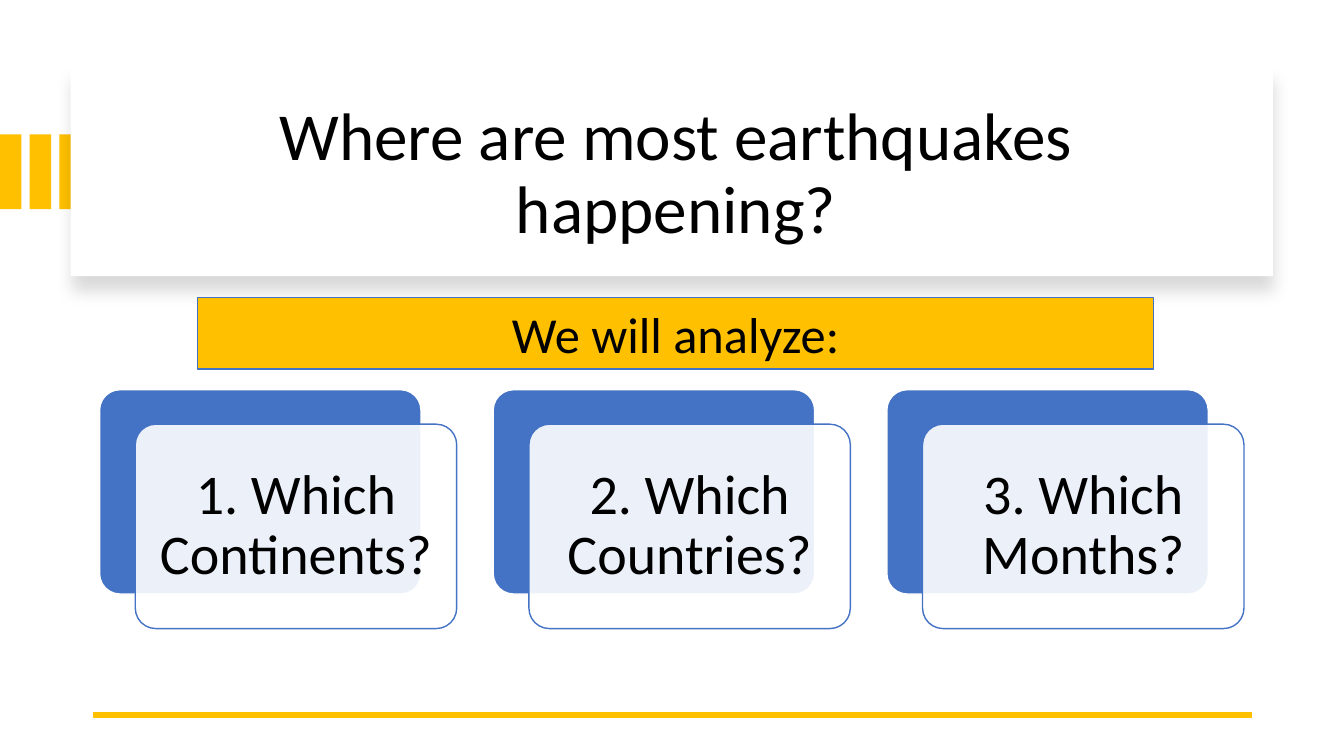
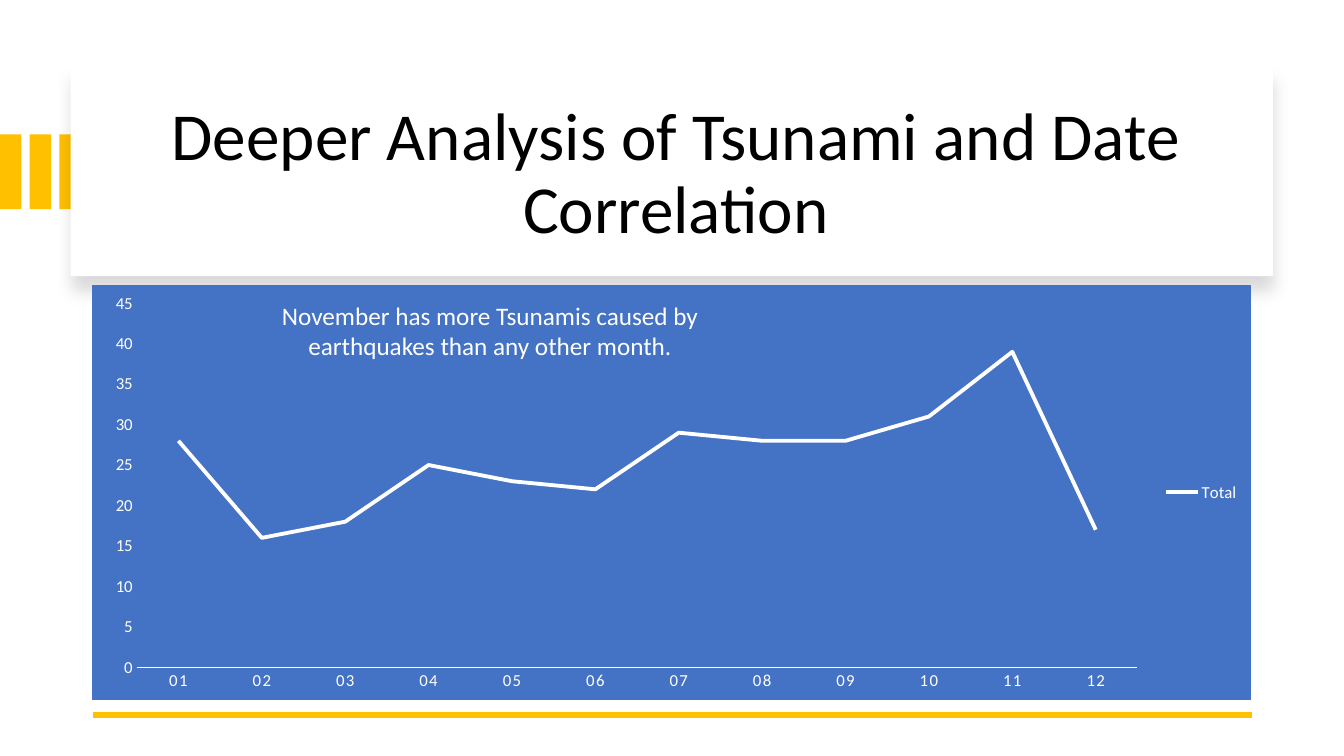
from lxml import etree
from pptx import Presentation
from pptx.chart.data import CategoryChartData
from pptx.dml.color import RGBColor
from pptx.enum.chart import XL_CHART_TYPE, XL_LEGEND_POSITION, XL_TICK_MARK
from pptx.enum.shapes import MSO_CONNECTOR, MSO_SHAPE
from pptx.enum.text import MSO_ANCHOR, MSO_AUTO_SIZE, PP_ALIGN
from pptx.oxml import parse_xml
from pptx.oxml.ns import nsdecls, qn
from pptx.util import Cm, Pt

COLORS = {"gold": "FFC000", "blue": "4472C4", "white": "FFFFFF", "black": "000000"}
FONT = "Calibri"


def rgb(name):
    return RGBColor.from_string(COLORS[name])


class Deck:
    """Holds the presentation, its style and the current slide."""

    def __init__(self):
        self.prs = Presentation()
        self.prs.slide_width, self.prs.slide_height = Cm(33.87), Cm(19.05)
        self.s = None

    def slide(self, title):
        self.s = self.prs.slides.add_slide(self.prs.slide_layouts[5])
        # Gold bars running under the title panel
        for i in range(3):
            self.box(0.75 * i, 3.39, 0.54, 1.88, "gold")
        panel = self.box(1.78, 1.7, 30.3, 5.26, "white")
        self.drop_shadow(panel)
        # The title goes in front of its panel
        sp = self.s.shapes.title
        panel.element.addnext(sp.element)
        sp.left, sp.top, sp.width, sp.height = Cm(2.9), Cm(2.26), Cm(28.27), Cm(4.32)
        self.set_text(sp, title, 48, spacing=0.9)
        # Footer rule
        self.rule(2.34, 31.55, 18.01)

    def box(self, x, y, w, h, fill, line=None, weight=1, kind=MSO_SHAPE.RECTANGLE):
        sp = self.s.shapes.add_shape(kind, Cm(x), Cm(y), Cm(w), Cm(h))
        sp.shadow.inherit = False
        sp.fill.solid()
        sp.fill.fore_color.rgb = rgb(fill)
        if line:
            sp.line.color.rgb = rgb(line)
            sp.line.width = Pt(weight)
        else:
            sp.line.fill.background()
        return sp

    def drop_shadow(self, sp):
        effects = sp.element.spPr.find(qn("a:effectLst"))
        shadow = etree.SubElement(effects, qn("a:outerShdw"), blurRad=str(Pt(11)),
                                  dist=str(Pt(10)), dir="5400000", rotWithShape="0")
        color = etree.SubElement(shadow, qn("a:srgbClr"), val=COLORS["black"])
        etree.SubElement(color, qn("a:alpha"), val="15000")

    def rule(self, x1, x2, y):
        line = self.s.shapes.add_connector(MSO_CONNECTOR.STRAIGHT, Cm(x1), Cm(y), Cm(x2), Cm(y))
        line.line.color.rgb = rgb("gold")
        line.line.width = Pt(4.5)
        etree.SubElement(line.element.spPr, qn("a:effectLst"))

    def set_text(self, sp, text, size, color="black", spacing=1.0, inset=None):
        tf = sp.text_frame
        tf.text = text
        tf.word_wrap = True
        tf.auto_size = MSO_AUTO_SIZE.NONE
        tf.vertical_anchor = MSO_ANCHOR.MIDDLE
        if inset is not None:
            tf.margin_left = tf.margin_right = tf.margin_top = tf.margin_bottom = Cm(inset)
        p = tf.paragraphs[0]
        p.alignment = PP_ALIGN.CENTER
        p.line_spacing = spacing
        self.style_font(p.font, size, color)

    def style_font(self, font, size, color):
        font.name, font.size = FONT, Pt(size)
        font.color.rgb = rgb(color)

    def banner(self, text, x, y, w, h):
        sp = self.box(x, y, w, h, "gold", "blue", 0.75)
        self.set_text(sp, text, 36)

    def caption(self, text, x, y, w, h):
        sp = self.s.shapes.add_textbox(Cm(x), Cm(y), Cm(w), Cm(h))
        self.set_text(sp, text, 18, "white")

    def card(self, text, x, y, w=8.1, h=5.15):
        back = self.box(x, y, w, h, "blue", "white", kind=MSO_SHAPE.ROUNDED_RECTANGLE)
        front = self.box(x + 0.9, y + 0.87, w, h, "white", "blue",
                         kind=MSO_SHAPE.ROUNDED_RECTANGLE)
        back.adjustments[0] = front.adjustments[0] = 0.1
        color = front.element.spPr.find(qn("a:solidFill"))[0]
        etree.SubElement(color, qn("a:alpha"), val="90000")
        self.set_text(front, text, 40, spacing=0.9, inset=0.43)

    def line_chart(self, name, cats, vals, x, y, w, h):
        data = CategoryChartData()
        data.categories = cats
        data.add_series(name, vals)
        chart = self.s.shapes.add_chart(XL_CHART_TYPE.LINE, Cm(x), Cm(y), Cm(w), Cm(h),
                                        data).chart
        self.style_font(chart.font, 12, "white")
        chart.has_title = False
        chart.has_legend = True
        chart.legend.position = XL_LEGEND_POSITION.RIGHT
        chart.legend.include_in_layout = False
        # Series
        chart.plots[0].vary_by_categories = False
        series = chart.plots[0].series[0]
        series.smooth = False
        series.format.line.color.rgb = rgb("white")
        series.format.line.width = Pt(2.75)
        # Axes
        for axis in (chart.category_axis, chart.value_axis):
            axis.has_major_gridlines = False
            axis.major_tick_mark = axis.minor_tick_mark = XL_TICK_MARK.NONE
            self.style_font(axis.tick_labels.font, 12, "white")
        chart.category_axis.format.line.color.rgb = rgb("white")
        chart.category_axis.format.line.width = Pt(1)
        # Letter spacing of the month labels
        for props in chart.category_axis._element.iter(qn("a:defRPr")):
            props.set("spc", "100")
        chart.value_axis.format.line.fill.background()
        # Chart background
        fill = f'<a:solidFill><a:srgbClr val="{COLORS["blue"]}"/></a:solidFill>'
        area = parse_xml(f'<c:spPr {nsdecls("c", "a")}>{fill}'
                         f'<a:ln w="{Pt(0.75)}">{fill}</a:ln></c:spPr>')
        chart._chartSpace.find(qn("c:txPr")).addprevious(area)


def main():
    deck = Deck()

    # Slide 1: questions
    deck.slide("Where are most earthquakes happening?")
    questions = ["1. Which Continents?", "2. Which Countries?", "3. Which Months?"]
    for i, question in enumerate(questions):
        deck.card(question, 2.51 + 9.92 * i, 9.82)
    deck.banner("We will analyze:", 4.98, 7.5, 24.1, 1.8)

    # Slide 2: tsunamis by month
    deck.slide("Deeper Analysis of Tsunami and Date Correlation")
    months = [f"{m:02d}" for m in range(1, 13)]
    totals = [28, 16, 18, 25, 23, 22, 29, 28, 28, 31, 39, 17]
    deck.line_chart("Total", months, totals, 2.32, 7.17, 29.2, 10.47)
    deck.caption("November has more Tsunamis caused by earthquakes than any other month.",
                 6.55, 7.42, 11.6, 1.8)

    deck.prs.save("out.pptx")


if __name__ == "__main__":
    main()
